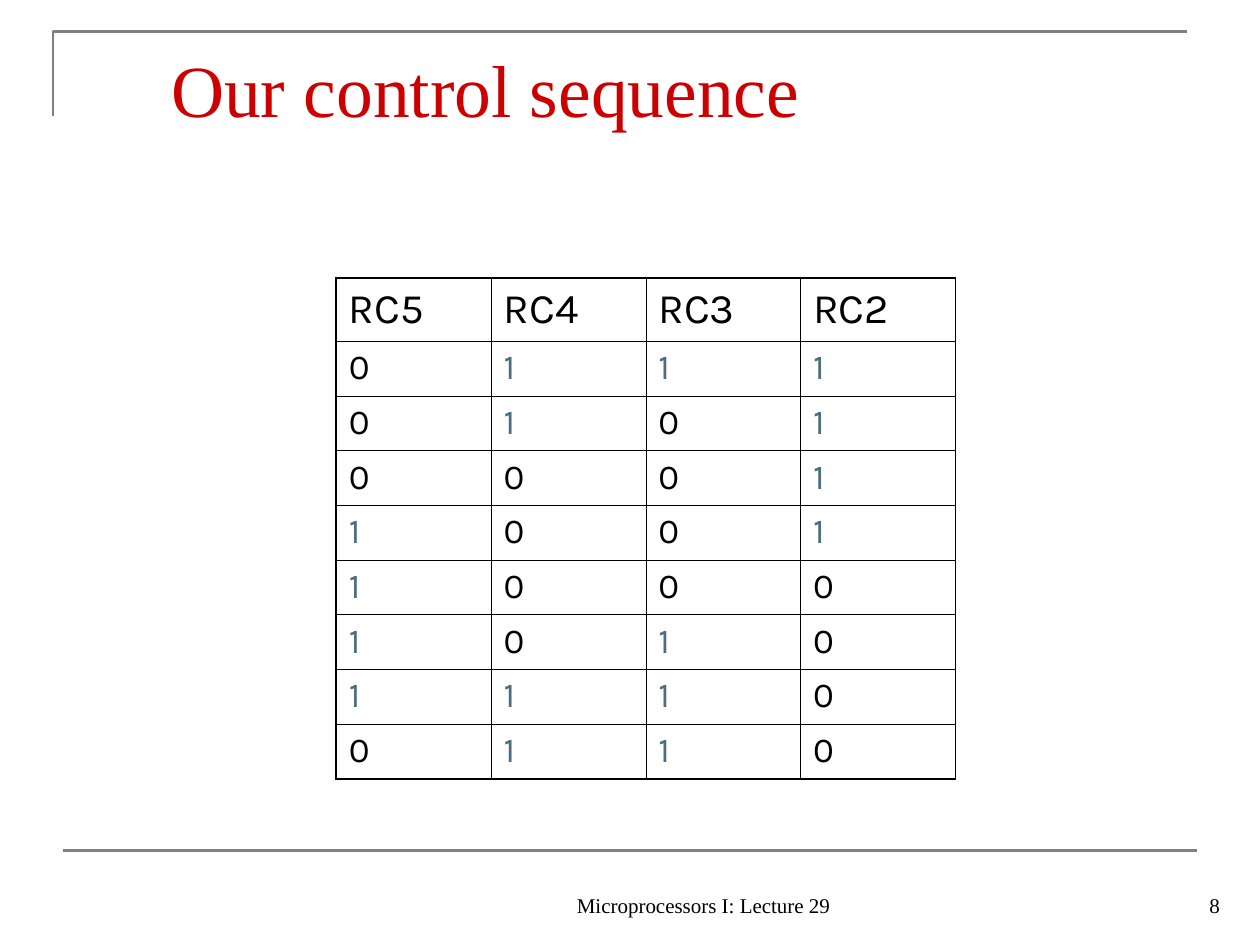
from lxml.etree import SubElement
from pptx import Presentation
from pptx.dml.color import RGBColor
from pptx.enum.shapes import MSO_CONNECTOR
from pptx.enum.text import MSO_ANCHOR, PP_ALIGN
from pptx.oxml.ns import qn
from pptx.util import Cm, Pt

COLORS = {"text": "000000", "title": "CC0000", "rule": "808080", "one": "4C6D80"}
SERIF, SANS = "Times New Roman", "Karla"
HEADS = ["RC5", "RC4", "RC3", "RC2"]
STEPS = ["0111", "0101", "0001", "1001", "1000", "1010", "1110", "0110"]
THICK, THIN = 1.08, 0.45


def color(name):
    """Return the named colour."""
    return RGBColor.from_string(COLORS[name])


def write(para, text, size, face, tint="text"):
    """Add one styled run to a paragraph."""
    run = para.add_run()
    run.text = text
    run.font.size = Pt(size)
    run.font.name = face
    run.font.color.rgb = color(tint)


def label(slide, box, text, size, tint="text", align=PP_ALIGN.LEFT,
          anchor=MSO_ANCHOR.BOTTOM, top=0.13):
    """Place a line of serif text in a box given in centimetres."""
    frame = slide.shapes.add_textbox(*map(Cm, box)).text_frame
    frame.word_wrap = True
    frame.vertical_anchor = anchor
    frame.margin_top = Cm(top)
    para = frame.paragraphs[0]
    para.alignment = align
    write(para, text, size, SERIF, tint)


def stroke(line):
    """Style a grey rule."""
    line.color.rgb = color("rule")
    line.width = Pt(1.5)


def corner(slide):
    """Draw the bracket above the title."""
    left, top = Cm(1.07), Cm(0.64)
    pen = slide.shapes.build_freeform(left, Cm(2.34))
    pen.add_line_segments([(left, top), (Cm(23.93), top)], close=False)
    shape = pen.convert_to_shape()
    shape.shadow.inherit = False
    shape.fill.background()
    stroke(shape.line)


def rule(slide):
    """Draw the line above the footer."""
    y = Cm(17.15)
    line = slide.shapes.add_connector(
        MSO_CONNECTOR.STRAIGHT, Cm(1.27), y, Cm(24.13), y)
    stroke(line.line)
    SubElement(line._element.spPr, qn("a:effectLst"))


def border(cell, outer):
    """Edge a cell, thick on its outer sides."""
    props = cell._tc.get_or_add_tcPr()
    for side in "LRTB":
        width = Pt(THICK if side in outer else THIN)
        edge = SubElement(props, qn(f"a:ln{side}"), w=str(int(width)))
        fill = SubElement(edge, qn("a:solidFill"))
        SubElement(fill, qn("a:srgbClr"), val=COLORS["text"])


def grid(slide):
    """Build the table of control bits."""
    rows = [HEADS, *STEPS]
    last, end = len(rows) - 1, len(HEADS) - 1
    table = slide.shapes.add_table(
        len(rows), len(HEADS), Cm(6.78), Cm(5.61), Cm(12.48), Cm(10.07)).table
    table.first_row = table.horz_banding = False
    for col in table.columns:
        col.width = Cm(3.12)
    for r, row in enumerate(rows):
        table.rows[r].height = Cm(1.1 if r else 1.27)
        for c, text in enumerate(row):
            cell = table.cell(r, c)
            sides = {"L": c == 0, "R": c == end, "T": r == 0, "B": r == last}
            border(cell, [side for side, outer in sides.items() if outer])
            cell.fill.background()
            write(cell.text_frame.paragraphs[0], text, 20 if r else 24, SANS,
                  "one" if text == "1" else "text")


def main():
    """Build and save the slide."""
    deck = Presentation()
    deck.slide_width, deck.slide_height = Cm(25.4), Cm(19.05)
    slide = deck.slides.add_slide(deck.slide_layouts[6])
    corner(slide)
    rule(slide)
    label(slide, (10.16, 17.35, 8.05, 1.27), "Microprocessors I: Lecture 29",
          12, align=PP_ALIGN.CENTER)
    label(slide, (19.56, 17.35, 5.28, 1.27), "8", 12, align=PP_ALIGN.RIGHT)
    label(slide, (3.2, 0.58, 21.64, 4.06), "Our control sequence", 42, "title",
          anchor=MSO_ANCHOR.TOP, top=0.3)
    grid(slide)
    deck.save("out.pptx")


if __name__ == "__main__":
    main()
